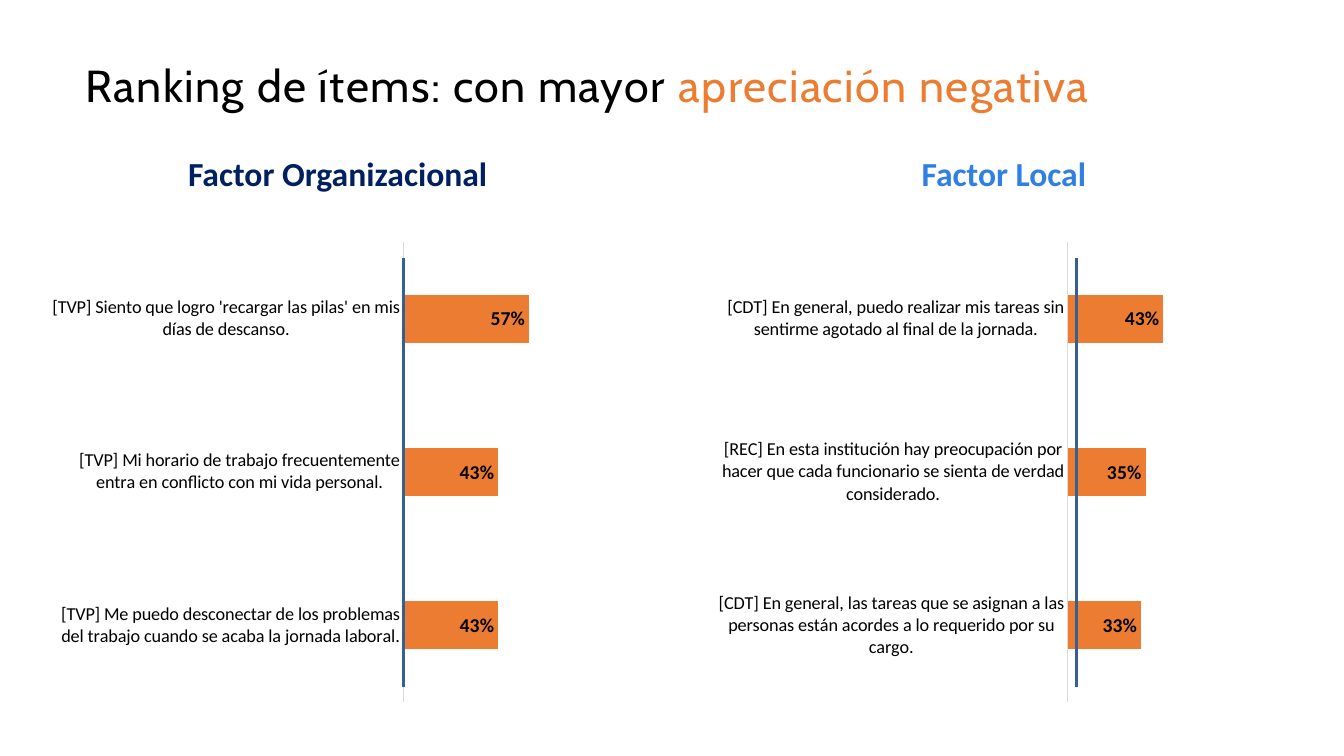
from lxml import etree
from pptx import Presentation
from pptx.chart.data import CategoryChartData
from pptx.dml.color import RGBColor
from pptx.enum.chart import XL_CHART_TYPE, XL_LABEL_POSITION, XL_TICK_MARK
from pptx.enum.shapes import MSO_CONNECTOR
from pptx.enum.text import MSO_ANCHOR, MSO_AUTO_SIZE, PP_ALIGN
from pptx.oxml.ns import qn
from pptx.util import Cm, Pt

BAR_CLUSTERED = XL_CHART_TYPE.BAR_CLUSTERED
INSIDE_END = XL_LABEL_POSITION.INSIDE_END
NO_TICK = XL_TICK_MARK.NONE
STRAIGHT = MSO_CONNECTOR.STRAIGHT
MIDDLE = MSO_ANCHOR.MIDDLE
NO_AUTOFIT = MSO_AUTO_SIZE.NONE
LEFT, CENTER = PP_ALIGN.LEFT, PP_ALIGN.CENTER

BLACK, WHITE, ORANGE = "000000", "FFFFFF", "EC7C31"
NAVY, BLUE, RULE_BLUE, AXIS_GREY = "002060", "307FE2", "376092", "D9D9D9"

# Each factor: heading, heading colour, panel left and rule offset (cm), items bottom to top
FACTORS = [
    ("Factor Organizacional", NAVY, 1.02, 9.14, [
        ("[TVP] Me puedo desconectar de los problemas del trabajo "
         "cuando se acaba la jornada laboral.", 0.43),
        ("[TVP] Mi horario de trabajo frecuentemente entra en conflicto "
         "con mi vida personal.", 0.43),
        ("[TVP] Siento que logro 'recargar las pilas' en mis días de descanso.", 0.57),
    ]),
    ("Factor Local", BLUE, 17.81, 9.32, [
        ("[CDT] En general, las tareas que se asignan a las personas están acordes "
         "a lo requerido por su cargo.", 0.33),
        ("[REC] En esta institución hay preocupación por hacer que cada funcionario "
         "se sienta de verdad considerado.", 0.35),
        ("[CDT] En general, puedo realizar mis tareas sin sentirme agotado "
         "al final de la jornada.", 0.43),
    ]),
]


def rgb(hex_color):
    return RGBColor.from_string(hex_color)


def style_font(font, name, size, color, bold=False):
    font.name, font.size, font.bold = name, Pt(size), bold
    font.color.rgb = rgb(color)


def add_title(slide, left, top, width, height):
    title = slide.shapes.title
    title.left, title.top, title.width, title.height = map(Cm, (left, top, width, height))
    frame = title.text_frame
    frame.margin_left = frame.margin_right = frame.margin_top = frame.margin_bottom = 0
    frame.vertical_anchor, frame.auto_size = MIDDLE, NO_AUTOFIT
    paragraph = frame.paragraphs[0]
    paragraph.alignment, paragraph.line_spacing = LEFT, 0.9
    for words, color in (("Ranking de ítems: con mayor ", BLACK),
                         ("apreciación negativa", ORANGE)):
        run = paragraph.add_run()
        run.text = words
        style_font(run.font, "Cabin", 32, color)
        run.font._element.set("spc", "100")


def add_heading(slide, words, color, left, top, width, height):
    heading = slide.shapes.add_textbox(Cm(left), Cm(top), Cm(width), Cm(height))
    frame = heading.text_frame
    frame.word_wrap, frame.vertical_anchor = True, MIDDLE
    paragraph = frame.paragraphs[0]
    paragraph.alignment, paragraph.line_spacing = CENTER, 0.9
    run = paragraph.add_run()
    run.text = words
    style_font(run.font, "Calibri", 24, color, bold=True)


def add_ranking(slide, items, left, top, width, height):
    ranking = CategoryChartData(number_format="0%")
    ranking.categories = [item for item, _ in items]
    ranking.add_series("Series 1", [share for _, share in items])
    chart = slide.shapes.add_chart(BAR_CLUSTERED, Cm(left), Cm(top), Cm(width),
                                   Cm(height), ranking).chart
    chart.has_legend = chart.has_title = False
    style_font(chart.font, "Calibri", 10, WHITE)

    # Axes
    item_axis, share_axis = chart.category_axis, chart.value_axis
    item_axis.major_tick_mark = item_axis.minor_tick_mark = NO_TICK
    item_axis.format.line.color.rgb = rgb(AXIS_GREY)
    item_axis.format.line.width = Pt(0.75)
    style_font(item_axis.tick_labels.font, "Calibri", 13, BLACK)
    share_axis.minimum_scale, share_axis.maximum_scale = 0, 1
    share_axis.has_major_gridlines = share_axis.visible = False

    # Bars and their labels
    plot = chart.plots[0]
    plot.gap_width, plot.vary_by_categories = 219, False
    bars = plot.series[0]
    bars.format.fill.solid()
    bars.format.fill.fore_color.rgb = rgb(ORANGE)
    labels = bars.data_labels
    labels.show_value, labels.position = True, INSIDE_END
    labels.number_format, labels.number_format_is_linked = "0%", False
    style_font(labels.font, "Calibri", 14, BLACK, bold=True)


def add_rule(slide, x, top, bottom):
    rule = slide.shapes.add_connector(STRAIGHT, Cm(x), Cm(bottom), Cm(x), Cm(top))
    rule.line.color.rgb = rgb(RULE_BLUE)
    rule.line.width = Pt(2)
    etree.SubElement(rule._element.spPr, qn("a:effectLst"))


def add_factor(slide, factor, top, width, height):
    words, color, left, rule_offset, items = factor
    add_heading(slide, words, color, left + 1.09, top, 12.8, 0.84)
    add_ranking(slide, items, left, top + 1.86, width, height - 1.86)
    add_rule(slide, left + rule_offset, top + 2.49, top + height - 0.63)


def main():
    prs = Presentation()
    prs.slide_width, prs.slide_height = Cm(33.87), Cm(19.05)
    slide = prs.slides.add_slide(prs.slide_layouts[5])
    add_title(slide, 2.16, 0.86, 29.92, 2.69)
    for factor in FACTORS:
        add_factor(slide, factor, top=4.01, width=15.01, height=13.92)
    prs.save("out.pptx")


if __name__ == "__main__":
    main()
